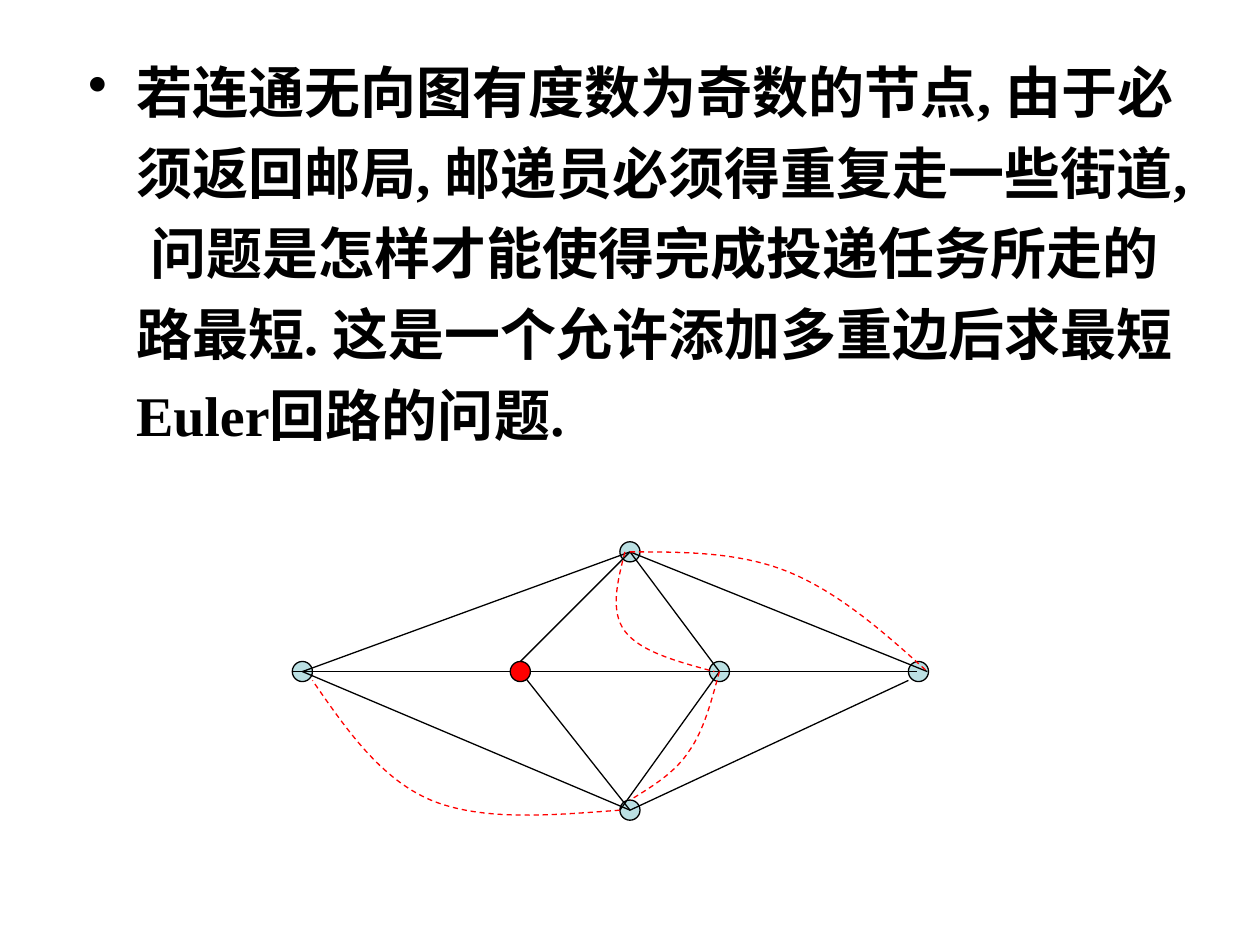
from lxml import etree
from pptx import Presentation
from pptx import util as u
from pptx.dml.color import RGBColor
from pptx.enum import dml, shapes, text
from pptx.oxml import ns

Inches = u.Inches
HUE = {"ink": "000000", "node": "BBE0E3", "red": "FF0000"}
BODY = ("若连通无向图有度数为奇数的节点, 由于必须返回邮局, "
        "邮递员必须得重复走一些街道, 问题是怎样才能使得完成投递任务所走的路最短. "
        "这是一个允许添加多重边后求最短Euler回路的问题.")

# Graph geometry, relative to the top left of the drawing
SIZE = 0.16
NODES = {"left": (0.08, 1.03), "top": (2.68, 0.08), "mid": (3.39, 1.03),
         "right": (4.97, 1.03), "low": (2.68, 2.13)}
START = (1.81, 1.03)
EDGES = [((0, 1.03), (4.96, 1.03)),
         (NODES["top"], NODES["left"]),
         (NODES["left"], NODES["low"]),
         (NODES["top"], (5.04, 1.03)),
         (NODES["low"], (4.89, 1.1)),
         (NODES["top"], NODES["mid"]),
         (NODES["top"], (1.73, 1.03)),
         (START, NODES["low"]),
         (NODES["mid"], (2.6, 2.13))]
# Each curve: a start point, then three points per cubic segment
CURVES = [
    [(2.68, 0.08), (3.11, 0.08), (3.55, 0.08), (3.94, 0.24),
     (4.33, 0.4), (4.69, 0.71), (5.04, 1.03)],
    [(2.64, 0.08), (2.58, 0.32), (2.52, 0.55), (2.64, 0.71),
     (2.76, 0.87), (3.05, 0.95), (3.35, 1.03)],
    [(3.39, 1.03), (3.33, 1.25), (3.27, 1.49), (3.15, 1.66),
     (3.04, 1.83), (2.86, 1.94), (2.68, 2.05)],
    [(2.6, 2.13), (2.06, 2.17), (1.51, 2.22), (1.1, 2.05),
     (0.7, 1.88), (0.43, 1.49), (0.16, 1.1)],
]


def paint(item, hue):
    item.color.rgb = RGBColor.from_string(HUE[hue])


def stroke(shape, hue):
    paint(shape.line, hue)
    shape.line.width = u.Pt(0.75)


def add_text(slide, x, y, w, h):
    box = slide.shapes.add_textbox(Inches(x), Inches(y), Inches(w), Inches(h))
    frame = box.text_frame
    frame.word_wrap = True
    frame.margin_left = Inches(0.2)
    frame.vertical_anchor = text.MSO_ANCHOR.TOP
    para = frame.paragraphs[0]
    para.line_spacing = 1.2
    # Hanging bullet
    props = para._p.get_or_add_pPr()
    props.set("marL", str(Inches(0.38)))
    props.set("indent", str(-Inches(0.38)))
    etree.SubElement(props, ns.qn("a:buChar")).set("char", "•")
    run = para.add_run()
    run.text = BODY
    run.font.name = "Times New Roman"
    run.font.size = u.Pt(32)
    run.font.bold = True
    paint(run.font, "ink")


def add_node(slide, x, y, hue):
    dot = slide.shapes.add_shape(
        shapes.MSO_SHAPE.OVAL, Inches(x - SIZE / 2), Inches(y - SIZE / 2),
        Inches(SIZE), Inches(SIZE))
    dot.shadow.inherit = False
    dot.fill.solid()
    dot.fill.fore_color.rgb = RGBColor.from_string(HUE[hue])
    stroke(dot, "ink")


def add_edge(slide, x, y, head, tail):
    edge = slide.shapes.add_connector(
        shapes.MSO_CONNECTOR.STRAIGHT, Inches(x + head[0]), Inches(y + head[1]),
        Inches(x + tail[0]), Inches(y + tail[1]))
    stroke(edge, "ink")
    etree.SubElement(edge._element.spPr, ns.qn("a:effectLst"))


def add_curve(slide, x, y, points):
    spots = [(Inches(x + px), Inches(y + py)) for px, py in points]
    form = slide.shapes.build_freeform(*spots[0])
    form.add_line_segments(spots[1:], close=False)
    curve = form.convert_to_shape()
    # Turn every three straight segments into one cubic segment
    legs = list(curve._element.iter(ns.qn("a:lnTo")))
    for i in range(0, len(legs), 3):
        bend = etree.Element(ns.qn("a:cubicBezTo"))
        legs[i].addprevious(bend)
        for leg in legs[i:i + 3]:
            bend.append(leg[0])
            leg.getparent().remove(leg)
    curve.shadow.inherit = False
    curve.fill.background()
    stroke(curve, "red")
    curve.line.dash_style = dml.MSO_LINE.DASH


def add_graph(slide, x, y):
    for px, py in NODES.values():
        add_node(slide, x + px, y + py, "node")
    for head, tail in EDGES:
        add_edge(slide, x, y, head, tail)
    # Repeated streets
    for points in CURVES:
        add_curve(slide, x, y, points)
    # Post office
    add_node(slide, x + START[0], y + START[1], "red")


def main():
    deck = Presentation()
    deck.slide_width, deck.slide_height = Inches(10), Inches(7.5)
    slide = deck.slides.add_slide(deck.slide_layouts[6])
    add_text(slide, 0.5, 0.3, 9, 6.4)
    add_graph(slide, 2.32, 4.3)
    deck.save("out.pptx")


if __name__ == "__main__":
    main()
